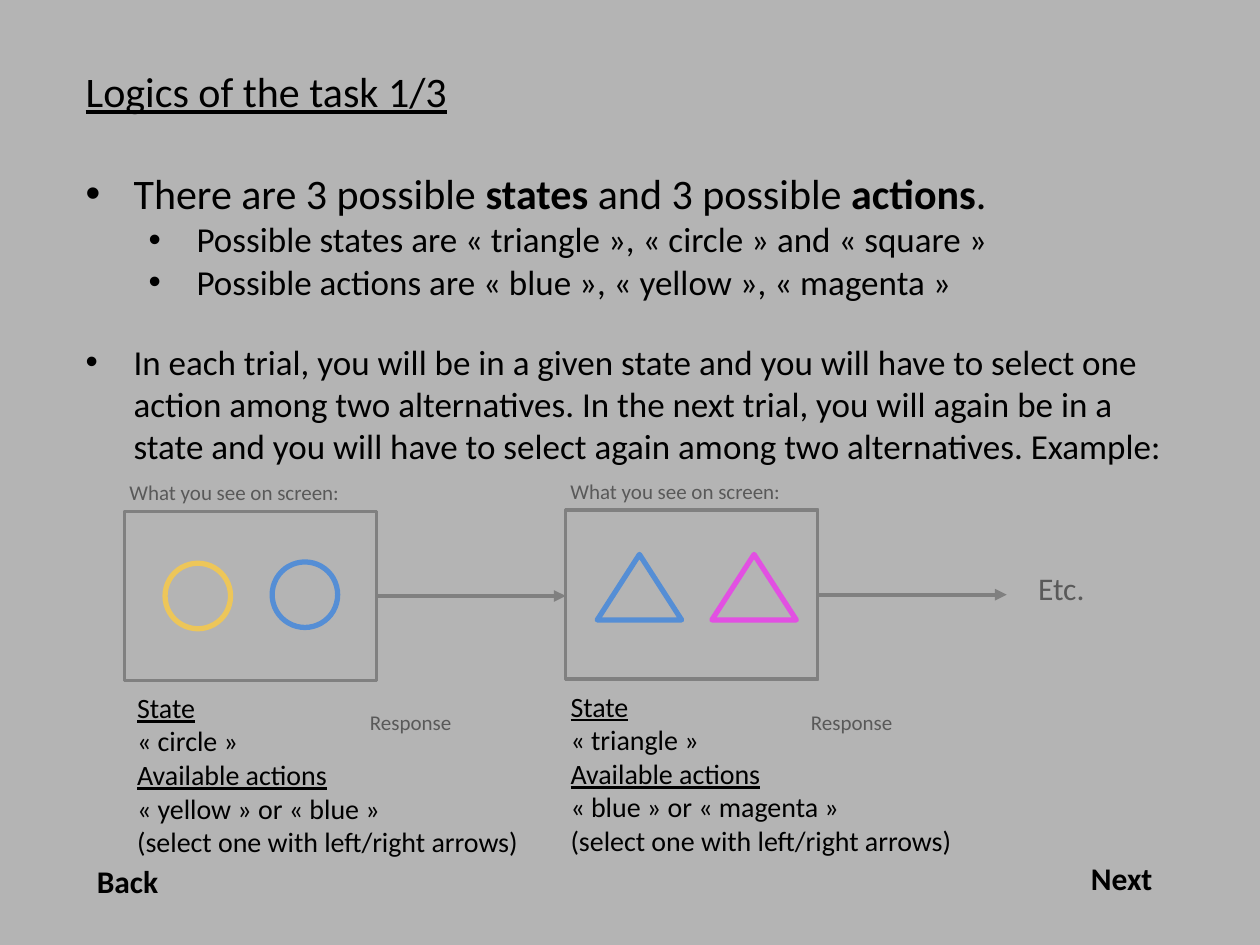
from dataclasses import dataclass

from lxml.etree import SubElement
from pptx import Presentation
from pptx.dml.color import RGBColor
from pptx.enum.shapes import MSO_CONNECTOR, MSO_SHAPE
from pptx.enum.text import MSO_ANCHOR, MSO_AUTO_SIZE, PP_ALIGN
from pptx.oxml.ns import qn
from pptx.util import Inches, Pt


@dataclass(frozen=True)
class Theme:
    font: str = "Calibri"
    background: str = "B4B4B4"
    text: str = "000000"
    muted: str = "595959"
    outline: str = "808080"
    frame: str = "404040"
    yellow: str = "EDC659"
    blue: str = "558ED5"
    magenta: str = "E250E2"
    heading: int = 24
    body: int = 20
    button: int = 18
    label: int = 16
    caption: int = 12


@dataclass(frozen=True)
class Trial:
    left: float
    top: float
    state: str
    actions: str
    symbol: MSO_SHAPE
    symbol_size: tuple
    symbol_offsets: tuple
    symbol_colors: tuple
    state_shift: float


THEME = Theme()
SCREEN_WIDTH, SCREEN_HEIGHT = 2, 1.34
ARROW_LENGTH = 1.5

# level, space before in points, size, (text, bold) parts
BULLETS = (
    (0, 0, THEME.heading, (("There are 3 possible ", False), ("states", True),
                           (" and 3 possible ", False), ("actions", True), (".", False))),
    (1, 0, THEME.body,
     (("Possible states are « triangle », « circle » and « square »", False),)),
    (1, 0, THEME.body,
     (("Possible actions are « blue », « yellow », « magenta »", False),)),
    (0, 22, THEME.body,
     (("In each trial, you will be in a given state and you will have to select one action "
       "among two alternatives. In the next trial, you will again be in a state and you will "
       "have to select again among two alternatives. Example:", False),)),
)

TRIALS = (
    Trial(0.99, 4.06, "« circle »", "« yellow » or « blue »", MSO_SHAPE.OVAL,
          (0.52, 0.52), ((0.32, 0.41), (1.17, 0.4)), (THEME.yellow, THEME.blue), 0),
    Trial(4.49, 4.05, "« triangle »", "« blue » or « magenta »", MSO_SHAPE.ISOSCELES_TRIANGLE,
          (0.67, 0.52), ((0.25, 0.35), (1.16, 0.35)), (THEME.blue, THEME.magenta), -0.06),
)


def color(value):
    return RGBColor.from_string(value)


def inches(*lengths):
    return [Inches(length) for length in lengths]


def format_run(run, size, ink=THEME.text, bold=False, underline=False):
    run.font.name = THEME.font
    run.font.size = Pt(size)
    run.font.bold = bold
    run.font.underline = underline
    run.font.color.rgb = color(ink)


def place(placeholder, *box):
    placeholder.left, placeholder.top, placeholder.width, placeholder.height = inches(*box)
    placeholder.text_frame.auto_size = MSO_AUTO_SIZE.NONE
    placeholder.text_frame.vertical_anchor = MSO_ANCHOR.TOP


def fill_title(title):
    place(title, 0.58, 0.47, 8.83, 0.5)
    heading = title.text_frame.paragraphs[0]
    heading.text = "Logics of the task 1/3"
    heading.alignment = PP_ALIGN.LEFT
    format_run(heading.runs[0], THEME.heading, underline=True)


def add_bullet(paragraph, level):
    paragraph.level = level
    properties = paragraph._p.get_or_add_pPr()
    properties.set("marL", str(Inches(0.38 + 0.5 * level)))
    properties.set("indent", str(Inches(-0.38)))
    SubElement(properties, qn("a:buFont"), typeface="Arial")
    SubElement(properties, qn("a:buChar"), char="•")


def fill_body(body):
    place(body, 0.58, 1.28, 8.83, 2.5)
    frame = body.text_frame
    for index, (level, space, size, parts) in enumerate(BULLETS):
        paragraph = frame.add_paragraph() if index else frame.paragraphs[0]
        add_bullet(paragraph, level)
        paragraph.space_before = Pt(space)
        for text, bold in parts:
            run = paragraph.add_run()
            run.text = text
            format_run(run, size, bold=bold)


def add_text(slide, box, text, size, ink=THEME.text, bold=False, align=PP_ALIGN.LEFT,
             underlined=()):
    """Add unwrapped lines of text; underlined holds the numbers of the underlined lines."""
    frame = slide.shapes.add_textbox(*inches(*box)).text_frame
    frame.word_wrap = False
    frame.text = text
    for number, paragraph in enumerate(frame.paragraphs):
        paragraph.alignment = align
        format_run(paragraph.runs[0], size, ink, bold, number in underlined)


def add_outline(slide, kind, box, line, width):
    shape = slide.shapes.add_shape(kind, *inches(*box))
    shape.shadow.inherit = False
    shape.fill.background()
    shape.line.color.rgb = color(line)
    shape.line.width = Pt(width)
    return shape


def add_arrow(slide, left, top):
    arrow = slide.shapes.add_connector(
        MSO_CONNECTOR.STRAIGHT, *inches(left, top, left + ARROW_LENGTH, top))
    arrow.line.color.rgb = color(THEME.outline)
    arrow.line.width = Pt(2.25)
    SubElement(arrow.line._get_or_add_ln(), qn("a:tailEnd"), type="triangle")
    SubElement(arrow._element.spPr, qn("a:effectLst"))


def add_trial(slide, trial):
    left, top = trial.left, trial.top
    for (across, down), ink in zip(trial.symbol_offsets, trial.symbol_colors):
        add_outline(slide, trial.symbol, (left + across, top + down, *trial.symbol_size), ink, 3)
    screen = add_outline(slide, MSO_SHAPE.FRAME, (left, top, SCREEN_WIDTH, SCREEN_HEIGHT),
                         THEME.outline, 2)
    screen.adjustments[0] = 0
    screen.fill.solid()
    screen.fill.fore_color.rgb = color(THEME.frame)

    add_text(slide, (left - 0.07, top - 0.3, 1.88, 0.3), "What you see on screen:",
             THEME.caption, THEME.muted, align=PP_ALIGN.CENTER)
    explanation = ("State", trial.state, "Available actions", trial.actions,
                   "(select one with left/right arrows)")
    add_text(slide, (left + trial.state_shift, top + 1.37, 3.27, 1.45), "\n".join(explanation),
             THEME.label, underlined=(0, 2))
    add_arrow(slide, left + SCREEN_WIDTH, top + SCREEN_HEIGHT / 2)
    add_text(slide, (left + 1.84, 5.58, 0.86, 0.3), "Response",
             THEME.caption, THEME.muted, align=PP_ALIGN.CENTER)


def main():
    presentation = Presentation()
    presentation.slide_width, presentation.slide_height = inches(10, 7.5)
    slide = presentation.slides.add_slide(presentation.slide_layouts[1])
    slide.background.fill.solid()
    slide.background.fill.fore_color.rgb = color(THEME.background)

    fill_title(slide.shapes.title)
    fill_body(slide.placeholders[1])
    for trial in TRIALS:
        add_trial(slide, trial)
    add_text(slide, (8.14, 4.47, 0.57, 0.4), "Etc.", THEME.button, THEME.muted)
    add_text(slide, (0.67, 6.79, 0.69, 0.4), "Back", THEME.button, bold=True)
    add_text(slide, (8.56, 6.77, 0.69, 0.4), "Next", THEME.button, bold=True)
    presentation.save("out.pptx")


if __name__ == "__main__":
    main()
